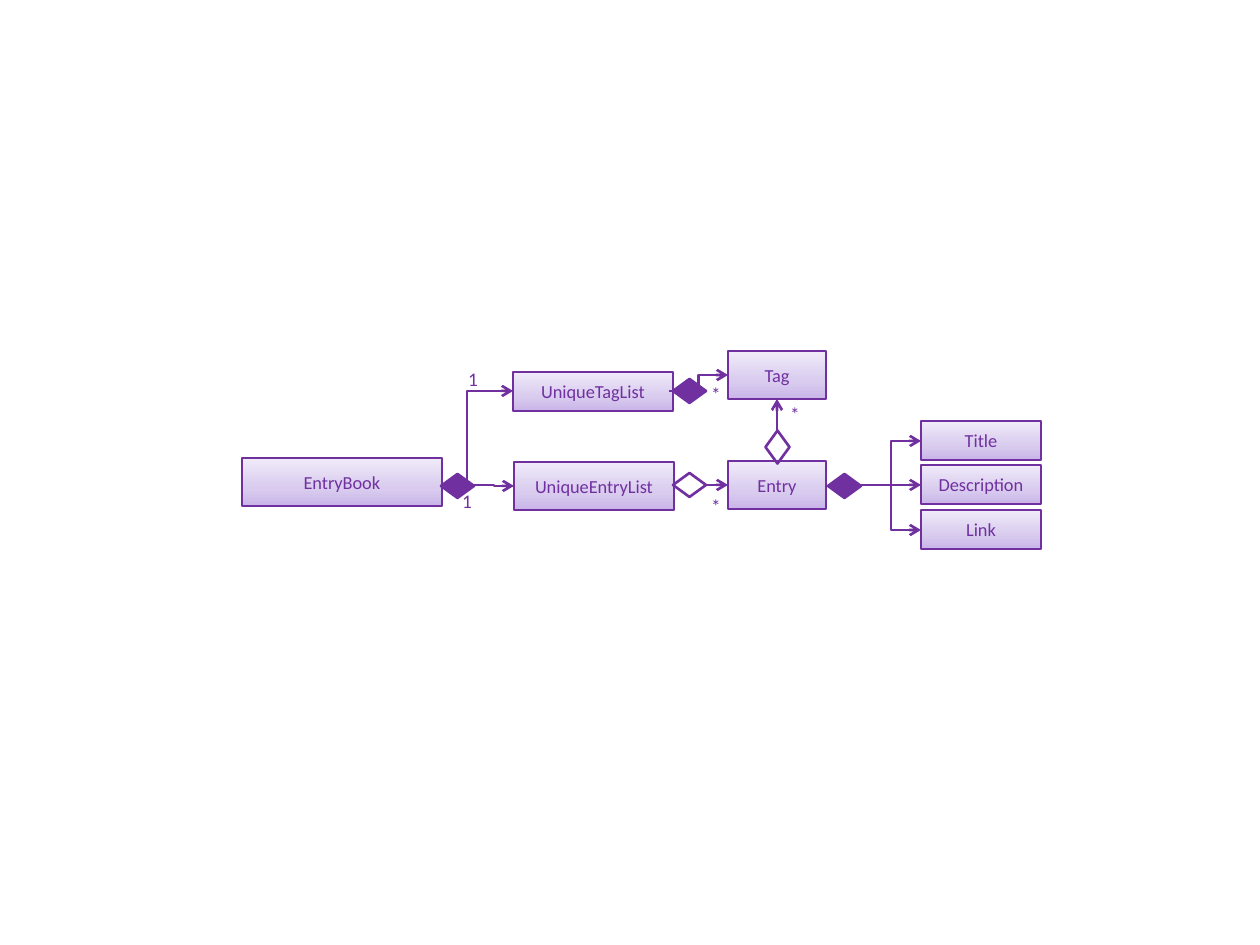
from lxml import etree
from pptx import Presentation
from pptx.dml.color import RGBColor
from pptx.enum.shapes import MSO_CONNECTOR as Link, MSO_SHAPE as Form
from pptx.enum.text import MSO_ANCHOR as Anchor, PP_ALIGN as Align
from pptx.oxml import parse_xml
from pptx.oxml.ns import nsdecls, qn
from pptx.util import Inches, Pt

SCALE = Inches(1) / 126
PURPLE = RGBColor(0x70, 0x30, 0xA0)
STOPS = [(0, RGBColor(0xC9, 0xB5, 0xE8)),
         (35, RGBColor(0xD8, 0xCB, 0xEE)),
         (100, RGBColor(0xF0, 0xEA, 0xF9))]
FIELD = (242, 351)
GEM = (33, 24)
MARK = (26, 25)

# Places below are relative to the top left corner of the field.
BOXES = [("EntryBook", 0, 107, 200, 48),
         ("UniqueEntryList", 272, 111, 160, 48),
         ("UniqueTagList", 271, 21, 160, 39),
         ("Entry", 486, 110, 98, 48),
         ("Tag", 486, 0, 98, 48)]
PARTS = ["Title", "Description", "Link"]
PART_X, PART_Y, PART_W, PART_H, STEP = 679, 70, 120, 39, 44.5
HUB = (619, 134)
WIRES = [(232, 134, 272, 135), (464, 134, 486, 134),
         (427, 40, 486, 24), (535, 80, 535, 48)]
GEMS = [(199, 123, True, 0), (431, 122, False, 0), (586, 123, True, 0),
        (519, 84, False, 270), (431, 28, True, 0)]
MARKS = [("1", 212, 138), ("1", 218, 16), ("*", 461, 143),
         ("*", 461, 31), ("*", 540, 51)]


def emu(*sizes):
    """Turn pixels into EMU."""
    return [round(size * SCALE) for size in sizes]


def place(field, x, y, *size):
    """Give EMU for a spot and size inside the field."""
    return emu(field[0] + x, field[1] + y, *size)


def write(shape, text, size, **frame):
    """Put one centred purple line of text into a shape."""
    body = shape.text_frame
    for name, value in frame.items():
        setattr(body, name, value)
    line = body.paragraphs[0]
    line.alignment = Align.CENTER
    run = line.add_run()
    run.text = text
    for name, value in {"name": "Calibri", "size": Pt(size)}.items():
        setattr(run.font, name, value)
    run.font.color.rgb = PURPLE


def ink(shape):
    """Give a shape or wire the purple outline."""
    shape.line.color.rgb = PURPLE
    shape.line.width = Pt(1.5)


def shade(shape):
    """Fill a shape with the lilac gradient, palest at the top."""
    stops = "".join(f'<a:gs pos="{pos * 1000}"><a:srgbClr val="{tint}"/></a:gs>'
                    for pos, tint in STOPS)
    grad = parse_xml(f'<a:gradFill {nsdecls("a")} rotWithShape="1">'
                     f'<a:gsLst>{stops}</a:gsLst>'
                     '<a:lin ang="16200000" scaled="0"/></a:gradFill>')
    shape._element.spPr.find(qn("a:prstGeom")).addnext(grad)


def add_box(slide, field, text, *spot):
    """Draw one class box."""
    box = slide.shapes.add_shape(Form.RECTANGLE, *place(field, *spot))
    box.shadow.inherit = False
    shade(box)
    ink(box)
    write(box, text, 10.5, vertical_anchor=Anchor.MIDDLE, word_wrap=True)


def add_gem(slide, field, x, y, solid, turn):
    """Draw a diamond, solid for composition or open for aggregation."""
    gem = slide.shapes.add_shape(Form.FLOWCHART_DECISION,
                                 *place(field, x, y, *GEM))
    gem.shadow.inherit = False
    gem.rotation = turn
    if solid:
        gem.fill.solid()
        gem.fill.fore_color.rgb = PURPLE
    else:
        gem.fill.background()
    ink(gem)


def add_wire(slide, field, x1, y1, x2, y2):
    """Draw an arrow, elbowed unless it is level or upright."""
    kind = Link.STRAIGHT if x1 == x2 or y1 == y2 else Link.ELBOW
    wire = slide.shapes.add_connector(
        kind, *place(field, x1, y1), *place(field, x2, y2))
    ink(wire)
    etree.SubElement(wire.line._get_or_add_ln(), qn("a:tailEnd"), type="arrow")
    etree.SubElement(wire._element.spPr, qn("a:effectLst"))
    return wire


def add_bend(slide, field, x1, y1, x2, y2):
    """Draw an arrow that goes up and then turns right once."""
    mid_x, mid_y = (x1 + x2) / 2, (y1 + y2) / 2
    half_w, half_h = (y1 - y2) / 2, (x2 - x1) / 2
    wire = add_wire(slide, field, mid_x + half_w, mid_y + half_h,
                    mid_x - half_w, mid_y - half_h)
    props = wire._element.spPr
    props.find(qn("a:xfrm")).set("rot", "5400000")
    props.find(qn("a:prstGeom")).set("prst", "bentConnector2")


def add_mark(slide, field, text, x, y):
    """Write a multiplicity label."""
    mark = slide.shapes.add_textbox(*place(field, x, y, *MARK))
    sides = ("left", "right", "top", "bottom")
    write(mark, text, 11, word_wrap=True,
          **{f"margin_{side}": 0 for side in sides})


def add_diagram(slide, field):
    """Draw the class diagram from the corner of its field."""
    for box in BOXES:
        add_box(slide, field, *box)
    for row, name in enumerate(PARTS):
        top = PART_Y + round(row * STEP)
        add_box(slide, field, name, PART_X, top, PART_W, PART_H)
        add_wire(slide, field, *HUB, PART_X, top + PART_H // 2 + 1)
    for wire in WIRES:
        add_wire(slide, field, *wire)
    add_bend(slide, field, 225, 138, 271, 40)
    for gem in GEMS:
        add_gem(slide, field, *gem)
    for mark in MARKS:
        add_mark(slide, field, *mark)


deck = Presentation()
deck.slide_width, deck.slide_height = emu(1260, 945)
add_diagram(deck.slides.add_slide(deck.slide_layouts[6]), FIELD)
deck.save("out.pptx")
